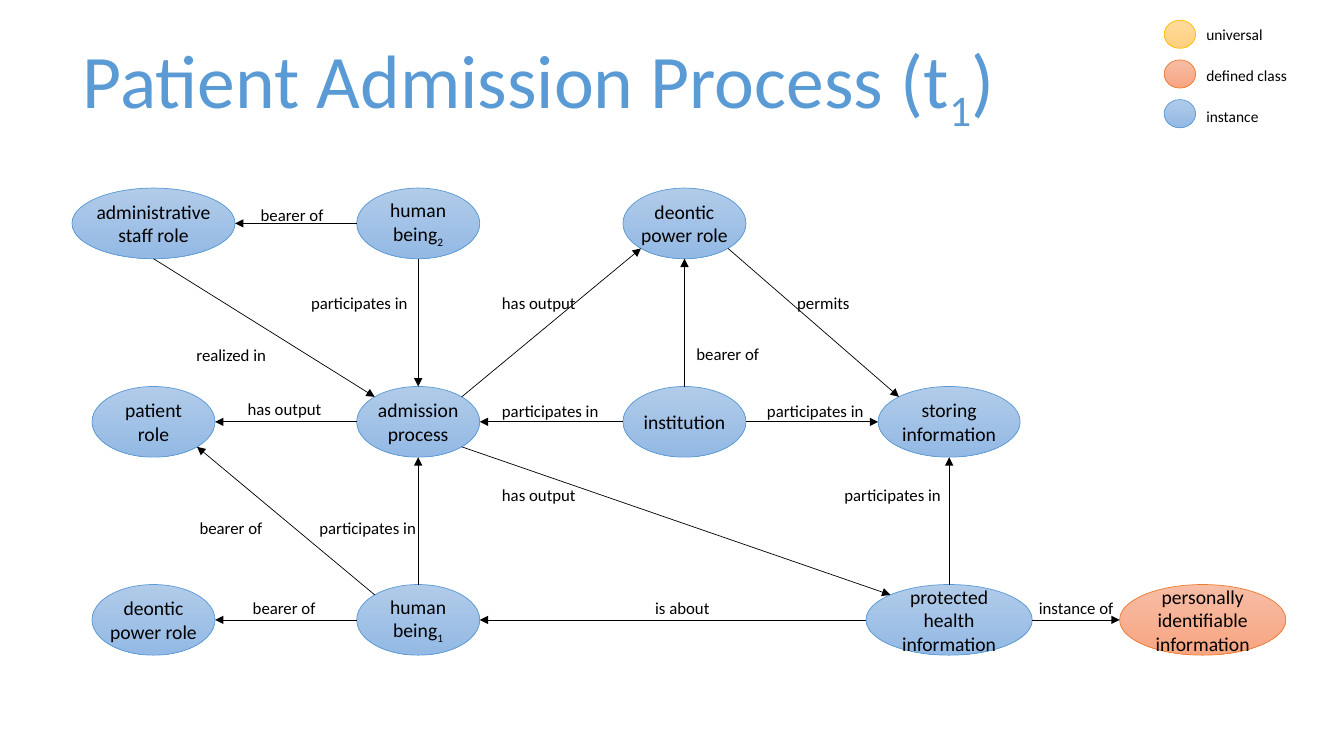
import math
from dataclasses import dataclass

import pptx
import pptx.dml.color
import pptx.enum.shapes
import pptx.enum.text
import pptx.oxml
import pptx.oxml.ns
import pptx.shapes.autoshape
import pptx.slide
import pptx.text.text
import pptx.util
from pptx.util import Cm

FONT = "Calibri"
COLORS = {"title": "5B9BD5", "ink": "000000"}
# Kind of entity: gradient top, gradient bottom, outline
KIND_COLORS = {
    "universal": ("FFDB9E", "FFD07C", "FFC000"),
    "defined class": ("F7BDA5", "F8A582", "ED7D31"),
    "instance": ("B1CBE9", "93B9E4", "5B9BD5"),
}
COLUMNS = (3.87, 10.54, 17.25, 23.92, 30.31)
ROWS = (5.63, 10.63, 15.62)
NODE_HEIGHT = 1.78
# Points on an ellipse, as clockwise degrees from the right
SITES = {"E": 0, "SE": 45, "S": 90, "SW": 135, "W": 180, "NW": 225, "N": 270, "NE": 315}
LABEL_WIDTHS = {
    "bearer of": 2.11, "has output": 2.39, "realized in": 2.29, "participates in": 2.97,
    "permits": 1.85, "is about": 1.91, "instance of": 2.41,
    "universal": 1.96, "defined class": 2.57, "instance": 1.83,
}


@dataclass
class Node:
    text: str  # "_" sets the next character as a subscript
    column: int
    row: int
    width: float = 3.1
    kind: str = "instance"

    def site(self, name: str) -> tuple[float, float]:
        angle = math.radians(SITES[name])
        return (COLUMNS[self.column] + self.width / 2 * math.cos(angle),
                ROWS[self.row] + NODE_HEIGHT / 2 * math.sin(angle))


@dataclass
class Relation:
    start: str
    start_site: str
    end: str
    end_site: str
    label: str
    label_left: float
    label_top: float


NODES = {
    "staff role": Node("administrative staff role", 0, 0, 4.11),
    "human 2": Node("human being_2", 1, 0),
    "institution role": Node("deontic\npower role", 2, 0),
    "patient role": Node("patient role", 0, 1),
    "admission": Node("admission process", 1, 1),
    "institution": Node("institution", 2, 1),
    "storing": Node("storing information", 3, 1, 3.58),
    "human role": Node("deontic power role", 0, 2),
    "human 1": Node("human being_1", 1, 2),
    "health information": Node("protected health information", 3, 2, 4.19),
    "personal information": Node("personally identifiable information", 4, 2, 4.19, "defined class"),
}

RELATIONS = (
    Relation("human 2", "W", "staff role", "E", "bearer of", 6.32, 5.03),
    Relation("staff role", "S", "admission", "NW", "realized in", 4.7, 8.56),
    Relation("human 2", "S", "admission", "N", "participates in", 7.59, 7.24),
    Relation("admission", "NE", "institution role", "SW", "has output", 12.4, 7.24),
    Relation("institution", "N", "institution role", "S", "bearer of", 17.3, 8.53),
    Relation("institution role", "SE", "storing", "NW", "permits", 19.84, 7.24),
    Relation("admission", "W", "patient role", "E", "has output", 5.99, 9.93),
    Relation("institution", "W", "admission", "E", "participates in", 12.4, 9.98),
    Relation("institution", "E", "storing", "W", "participates in", 19.08, 9.98),
    Relation("human 1", "NW", "patient role", "SE", "bearer of", 4.78, 12.93),
    Relation("human 1", "N", "admission", "S", "participates in", 7.8, 12.93),
    Relation("admission", "SE", "health information", "NW", "has output", 12.4, 12.09),
    Relation("health information", "N", "storing", "S", "participates in", 21.03, 12.09),
    Relation("human 1", "W", "human role", "E", "bearer of", 6.12, 14.94),
    Relation("health information", "W", "human 1", "E", "is about", 16.26, 14.94),
    Relation("health information", "E", "personal information", "W", "instance of", 25.93, 14.94),
)


def rgb(value: str) -> pptx.dml.color.RGBColor:
    return pptx.dml.color.RGBColor.from_string(value)


def write_text(frame: pptx.text.text.TextFrame, text: str, size: float,
               color: str = COLORS["ink"], centered: bool = False) -> None:
    for index, line in enumerate(text.split("\n")):
        paragraph = frame.add_paragraph() if index else frame.paragraphs[0]
        paragraph.alignment = (pptx.enum.text.PP_ALIGN.CENTER if centered
                               else pptx.enum.text.PP_ALIGN.LEFT)
        paragraph.font.name = FONT
        paragraph.font.size = pptx.util.Pt(size)
        paragraph.font.color.rgb = rgb(color)
        base, _, rest = line.partition("_")
        for part, baseline in ((base, None), (rest[:1], "-25000"), (rest[1:], None)):
            if part:
                run = paragraph.add_run()
                run.text = part
                if baseline:
                    run._r.get_or_add_rPr().set("baseline", baseline)


def add_ellipse(slide: pptx.slide.Slide, left: float, top: float, width: float,
                height: float, kind: str) -> pptx.shapes.autoshape.Shape:
    shape = slide.shapes.add_shape(pptx.enum.shapes.MSO_SHAPE.OVAL,
                                   Cm(left), Cm(top), Cm(width), Cm(height))
    shape.shadow.inherit = False
    *gradient, outline = KIND_COLORS[kind]
    shape.fill.gradient()
    shape.fill.gradient_angle = 270
    for stop, color, position in zip(shape.fill.gradient_stops, gradient, (0, 1)):
        stop.color.rgb = rgb(color)
        stop.position = position
    shape.line.color.rgb = rgb(outline)
    shape.line.width = pptx.util.Pt(0.5)
    return shape


def add_node(slide: pptx.slide.Slide, node: Node) -> None:
    shape = add_ellipse(slide, COLUMNS[node.column] - node.width / 2,
                        ROWS[node.row] - NODE_HEIGHT / 2, node.width, NODE_HEIGHT, node.kind)
    frame = shape.text_frame
    frame.margin_left = frame.margin_right = frame.margin_top = frame.margin_bottom = 0
    frame.vertical_anchor = pptx.enum.text.MSO_ANCHOR.MIDDLE
    frame.word_wrap = True
    write_text(frame, node.text, 14, centered=True)


def add_label(slide: pptx.slide.Slide, text: str, left: float, top: float, size: float) -> None:
    box = slide.shapes.add_textbox(Cm(left), Cm(top), Cm(LABEL_WIDTHS[text]), Cm(0.76))
    box.text_frame.word_wrap = False
    box.text_frame.auto_size = pptx.enum.text.MSO_AUTO_SIZE.SHAPE_TO_FIT_TEXT
    write_text(box.text_frame, text, size)


def add_relation(slide: pptx.slide.Slide, relation: Relation) -> None:
    points = (*NODES[relation.start].site(relation.start_site),
              *NODES[relation.end].site(relation.end_site))
    connector = slide.shapes.add_connector(pptx.enum.shapes.MSO_CONNECTOR.STRAIGHT,
                                           *(Cm(value) for value in points))
    connector.line.color.rgb = rgb(COLORS["ink"])
    connector.line.width = pptx.util.Pt(0.5)
    arrowhead = pptx.oxml.parse_xml(
        f'<a:tailEnd {pptx.oxml.ns.nsdecls("a")} type="triangle"/>')
    connector.line._get_or_add_ln().append(arrowhead)
    connector._element.spPr.append(
        pptx.oxml.parse_xml(f'<a:effectLst {pptx.oxml.ns.nsdecls("a")}/>'))
    add_label(slide, relation.label, relation.label_left, relation.label_top, 12)


presentation = pptx.Presentation()
presentation.slide_width, presentation.slide_height = Cm(33.87), Cm(19.05)
slide = presentation.slides.add_slide(presentation.slide_layouts[5])

# Title
title = slide.shapes.title
title.left, title.top, title.width, title.height = Cm(1.83), Cm(0.69), Cm(25.32), Cm(2.57)
title.text_frame.vertical_anchor = pptx.enum.text.MSO_ANCHOR.TOP
title.text_frame.word_wrap = True
title.text_frame.auto_size = pptx.enum.text.MSO_AUTO_SIZE.SHAPE_TO_FIT_TEXT
write_text(title.text_frame, "Patient Admission Process (t_1)", 54, COLORS["title"])

# Process diagram
for node in NODES.values():
    add_node(slide, node)
for relation in RELATIONS:
    add_relation(slide, relation)

# Legend
for index, kind in enumerate(KIND_COLORS):
    add_ellipse(slide, 29.34, 0.51 + index, 0.79, 0.71, kind)
    add_label(slide, kind, 30.15, 0.51 + 1.03 * index, 11)

presentation.save("out.pptx")
